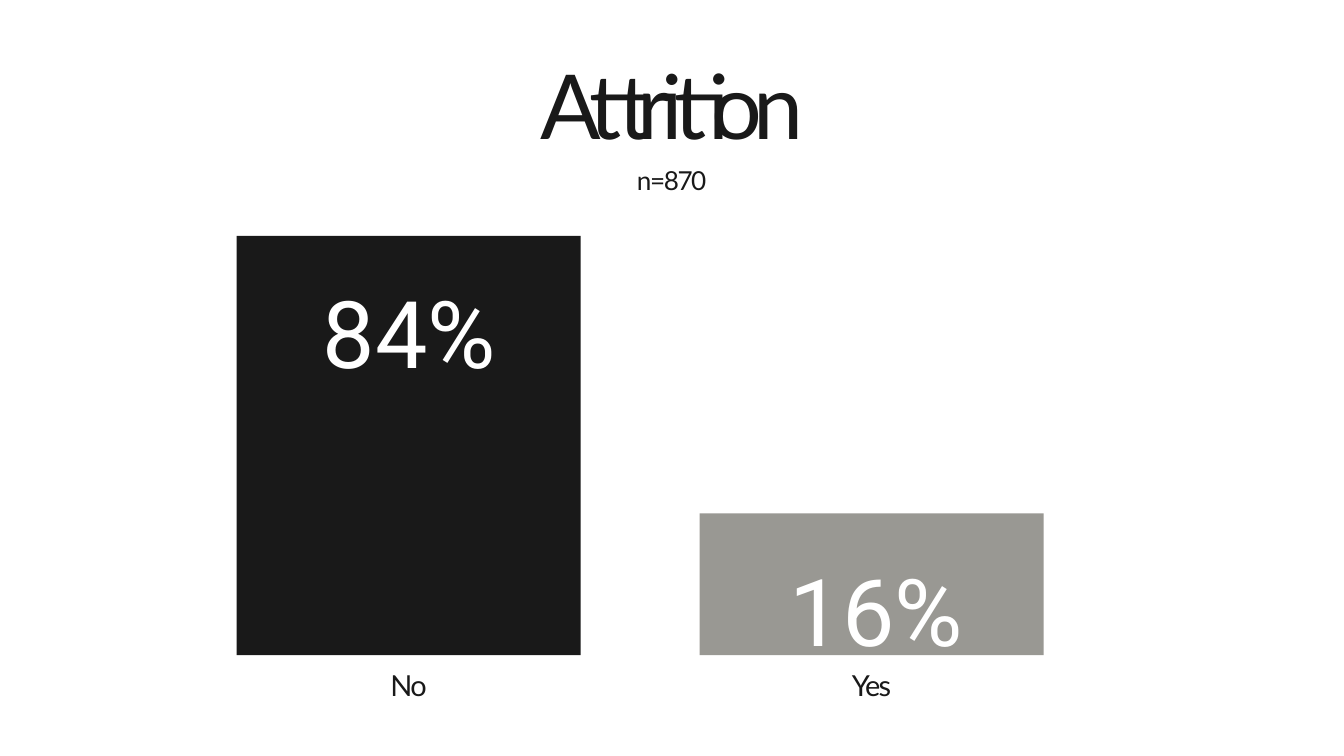
from pptx import Presentation
from pptx.dml.color import RGBColor
from pptx.enum.shapes import MSO_SHAPE
from pptx.enum.text import MSO_ANCHOR, MSO_AUTO_SIZE, PP_ALIGN
from pptx.util import Inches, Pt

COLORS = {"ink": "191919", "gray": "999893", "white": "FFFFFF"}

# Grid of one-inch columns and rows
COLUMNS, ROWS = 20, 11.25
BAR_WIDTH, BASELINE = 5.12, 9.75
LABEL_GAP, LABEL_HEIGHT = 0.18, 0.51
VALUE_RISE, VALUE_HEIGHT = 0.8, 4.17

# Answer, share, left column, bar height, width of the value box, colour
BARS = [
    ("No", "84%", 3.52, 6.24, 5.15, "ink"),
    ("Yes", "16%", 10.41, 2.11, 5.26, "gray"),
]


class SlideBuilder:
    """Holds the style and the current slide."""

    def __init__(self, deck):
        self.column = deck.slide_width / COLUMNS
        self.row = deck.slide_height / ROWS
        self.slide = deck.slides.add_slide(deck.slide_layouts[5])

    def area(self, left, top, width, height):
        return (round(left * self.column), round(top * self.row),
                round(width * self.column), round(height * self.row))

    def fill_text(self, box, text, size, font="Lato", color="ink", spacing=0,
                  line=None, inset=0, anchor=MSO_ANCHOR.TOP):
        frame = box.text_frame
        frame.text = text
        frame.word_wrap = True
        frame.auto_size = MSO_AUTO_SIZE.NONE
        frame.vertical_anchor = anchor
        frame.margin_left = frame.margin_right = Inches(inset)
        frame.margin_top = frame.margin_bottom = Inches(inset)
        para = frame.paragraphs[0]
        para.alignment = PP_ALIGN.CENTER
        if line:
            para.line_spacing = Pt(line)
        span = para.runs[0]
        span.font.name = font
        span.font.size = Pt(size)
        span.font.color.rgb = RGBColor.from_string(COLORS[color])
        if spacing:
            span.font._element.set("spc", str(round(spacing * 100)))

    def title(self, text, area, **style):
        box = self.slide.shapes.title
        box.left, box.top, box.width, box.height = self.area(*area)
        self.fill_text(box, text, **style)

    def text(self, text, area, **style):
        box = self.slide.shapes.add_textbox(*self.area(*area))
        self.fill_text(box, text, **style)

    def bar(self, area, color):
        shape = self.slide.shapes.add_shape(MSO_SHAPE.RECTANGLE, *self.area(*area))
        shape.shadow.inherit = False
        shape.fill.solid()
        shape.fill.fore_color.rgb = RGBColor.from_string(COLORS[color])
        shape.line.fill.background()


def main():
    deck = Presentation()
    deck.slide_width, deck.slide_height = Inches(COLUMNS), Inches(ROWS)
    page = SlideBuilder(deck)

    # Heading and sample size
    page.title("Attrition", (1.6, 0.34, 16.8, 1.92), size=96, spacing=-9, line=144)
    page.text("n=870", (7.12, 2.45, 5.75, 0.47), size=28, spacing=-1.5)

    # Bars on a shared baseline, each with its value and label
    for answer, share, left, height, value_width, color in BARS:
        top = BASELINE - height
        page.bar((left, top, BAR_WIDTH, height), color)
        page.text(share, (left, top - VALUE_RISE, value_width, VALUE_HEIGHT),
                  size=100, font="Roboto", color="white", line=140, inset=0.06,
                  anchor=MSO_ANCHOR.MIDDLE)
        page.text(answer, (left, BASELINE + LABEL_GAP, BAR_WIDTH, LABEL_HEIGHT),
                  size=31, spacing=-1.8, line=37.2)

    deck.save("out.pptx")


if __name__ == "__main__":
    main()
